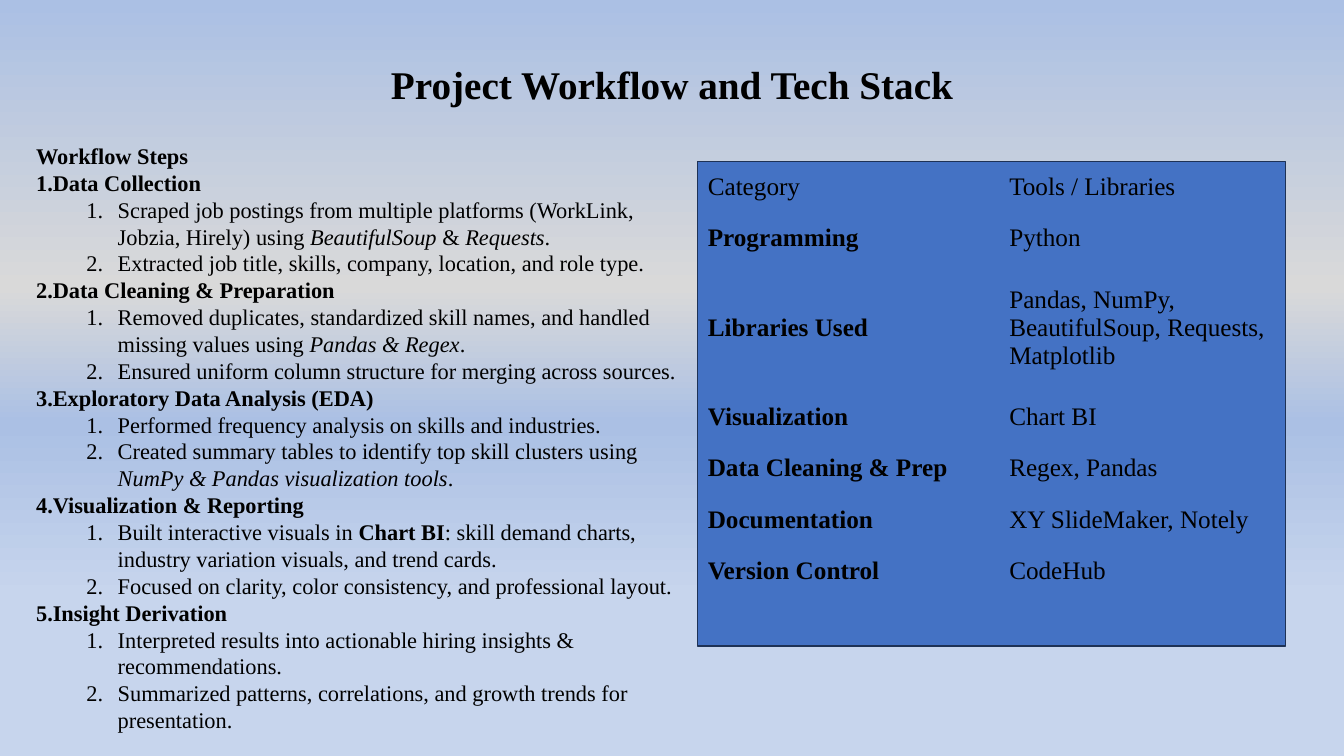
import copy
from dataclasses import dataclass

import pptx
import pptx.dml.color
import pptx.enum.shapes
import pptx.enum.text
import pptx.oxml
import pptx.oxml.ns
import pptx.util

Inches = pptx.util.Inches
Pt = pptx.util.Pt
RGB = pptx.dml.color.RGBColor.from_string
qn = pptx.oxml.ns.qn


@dataclass(frozen=True)
class Theme:
    font: str = "Times New Roman"
    ink: str = "000000"
    panel: str = "4472C4"
    panel_line: str = "1E3256"
    background: tuple = ((0, "ABC0E4"), (0.38, "D9D9D9"), (0.56, "ABC0E4"), (0.79, "C7D5ED"))
    title_size: int = 28
    body_size: int = 16
    table_size: int = 18
    plain_table: str = "{2D5ABB26-0587-4C30-8999-92F81FD0307C}"


THEME = Theme()

WORKFLOW = [
    ("Data Collection", [
        [("Scraped job postings from multiple platforms (WorkLink, Jobzia, Hirely) using ", ""),
         ("BeautifulSoup", "i"), (" & ", ""), ("Requests", "i"), (".", "")],
        [("Extracted job title, skills, company, location, and role type.", "")],
    ]),
    ("Data Cleaning & Preparation", [
        [("Removed duplicates, standardized skill names, and handled missing values using ", ""),
         ("Pandas & Regex", "i"), (".", "")],
        [("Ensured uniform column structure for merging across sources.", "")],
    ]),
    ("Exploratory Data Analysis (EDA)", [
        [("Performed frequency analysis on skills and industries.", "")],
        [("Created summary tables to identify top skill clusters using ", ""),
         ("NumPy & Pandas visualization tools", "i"), (".", "")],
    ]),
    ("Visualization & Reporting", [
        [("Built interactive visuals in ", ""), ("Chart BI", "b"),
         (": skill demand charts, industry variation visuals, and trend cards.", "")],
        [("Focused on clarity, color consistency, and professional layout.", "")],
    ]),
    ("Insight Derivation", [
        [("Interpreted results into actionable hiring insights & recommendations.", "")],
        [("Summarized patterns, correlations, and growth trends for presentation.", "")],
    ]),
]

TECH_STACK = [
    ("Category", "Tools / Libraries"),
    ("Programming", "Python"),
    ("Libraries Used", "Pandas, NumPy, BeautifulSoup, Requests, Matplotlib"),
    ("Visualization", "Chart BI"),
    ("Data Cleaning & Prep", "Regex, Pandas"),
    ("Documentation", "XY SlideMaker, Notely"),
    ("Version Control", "CodeHub"),
]
ROW_HEIGHT, LIBRARIES_HEIGHT = 0.51, 1.26
COLUMN_WIDTH = 2.99


def set_background(s):
    fill = s.background.fill
    fill.gradient()
    fill.gradient_angle = 270
    stops = next(s.element.iter(qn("a:gsLst")))
    for _ in THEME.background[2:]:
        stops.append(copy.deepcopy(stops[0]))
    for stop, (position, color) in zip(fill.gradient_stops, THEME.background):
        stop.position = position
        stop.color.rgb = RGB(color)


def format_run(r, size, style=""):
    r.font.name = THEME.font
    r.font.size = Pt(size)
    r.font.color.rgb = RGB(THEME.ink)
    r.font.bold = "b" in style
    r.font.italic = "i" in style


def add_runs(p, runs, size):
    for text, style in runs:
        r = p.add_run()
        r.text = text
        format_run(r, size, style)


def add_text_box(s, left, top, width, height):
    tf = s.shapes.add_textbox(Inches(left), Inches(top), Inches(width), Inches(height)).text_frame
    tf.word_wrap = True
    tf.auto_size = pptx.enum.text.MSO_AUTO_SIZE.SHAPE_TO_FIT_TEXT
    return tf


def number_paragraph(p, left=0, indent=0):
    pPr = p._p.get_or_add_pPr()
    pPr.set("marL", str(Inches(left)))
    pPr.set("indent", str(Inches(indent)))
    bullet = pptx.oxml.parse_xml(
        '<a:buAutoNum xmlns:a="http://schemas.openxmlformats.org/drawingml/2006/main" type="arabicPeriod"/>')
    pPr.append(bullet)


def add_title(s, text):
    p = add_text_box(s, 3.33, 0.55, 6.67, 0.57).paragraphs[0]
    p.alignment = pptx.enum.text.PP_ALIGN.CENTER
    add_runs(p, [(text, "b")], THEME.title_size)


def add_workflow(s):
    tf = add_text_box(s, 0.26, 1.36, 6.67, 6.02)
    add_runs(tf.paragraphs[0], [("Workflow Steps", "b")], THEME.body_size)
    for step, details in WORKFLOW:
        p = tf.add_paragraph()
        number_paragraph(p)
        add_runs(p, [(step, "b")], THEME.body_size)
        for runs in details:
            p = tf.add_paragraph()
            p.level = 1
            number_paragraph(p, 0.81, -0.31)
            add_runs(p, runs, THEME.body_size)


def add_panel(s):
    sp = s.shapes.add_shape(pptx.enum.shapes.MSO_SHAPE.RECTANGLE,
                            Inches(6.92), Inches(1.6), Inches(5.83), Inches(4.81))
    sp.shadow.inherit = False
    sp.fill.solid()
    sp.fill.fore_color.rgb = RGB(THEME.panel)
    sp.line.color.rgb = RGB(THEME.panel_line)
    sp.line.width = Pt(1)


def add_tech_table(s):
    heights = [LIBRARIES_HEIGHT if row[0] == "Libraries Used" else ROW_HEIGHT for row in TECH_STACK]
    frame = s.shapes.add_table(len(TECH_STACK), 2, Inches(6.92), Inches(1.6),
                               Inches(2 * COLUMN_WIDTH), Inches(sum(heights)))
    table = frame.table
    table.first_row = table.horz_banding = False
    next(table._tbl.iter(qn("a:tableStyleId"))).text = THEME.plain_table
    for column in table.columns:
        column.width = Inches(COLUMN_WIDTH)
    for i, (row, height) in enumerate(zip(TECH_STACK, heights)):
        table.rows[i].height = Inches(height)
        for j, text in enumerate(row):
            cell = table.cell(i, j)
            cell.fill.background()
            cell.vertical_anchor = pptx.enum.text.MSO_ANCHOR.MIDDLE
            style = "b" if i > 0 and j == 0 else ""
            add_runs(cell.text_frame.paragraphs[0], [(text, style)], THEME.table_size)


def main():
    prs = pptx.Presentation()
    prs.slide_width, prs.slide_height = Inches(13.33), Inches(7.5)
    s = prs.slides.add_slide(prs.slide_layouts[6])
    set_background(s)
    add_title(s, "Project Workflow and Tech Stack")
    add_panel(s)
    add_workflow(s)
    add_tech_table(s)
    prs.save("out.pptx")


if __name__ == "__main__":
    main()
